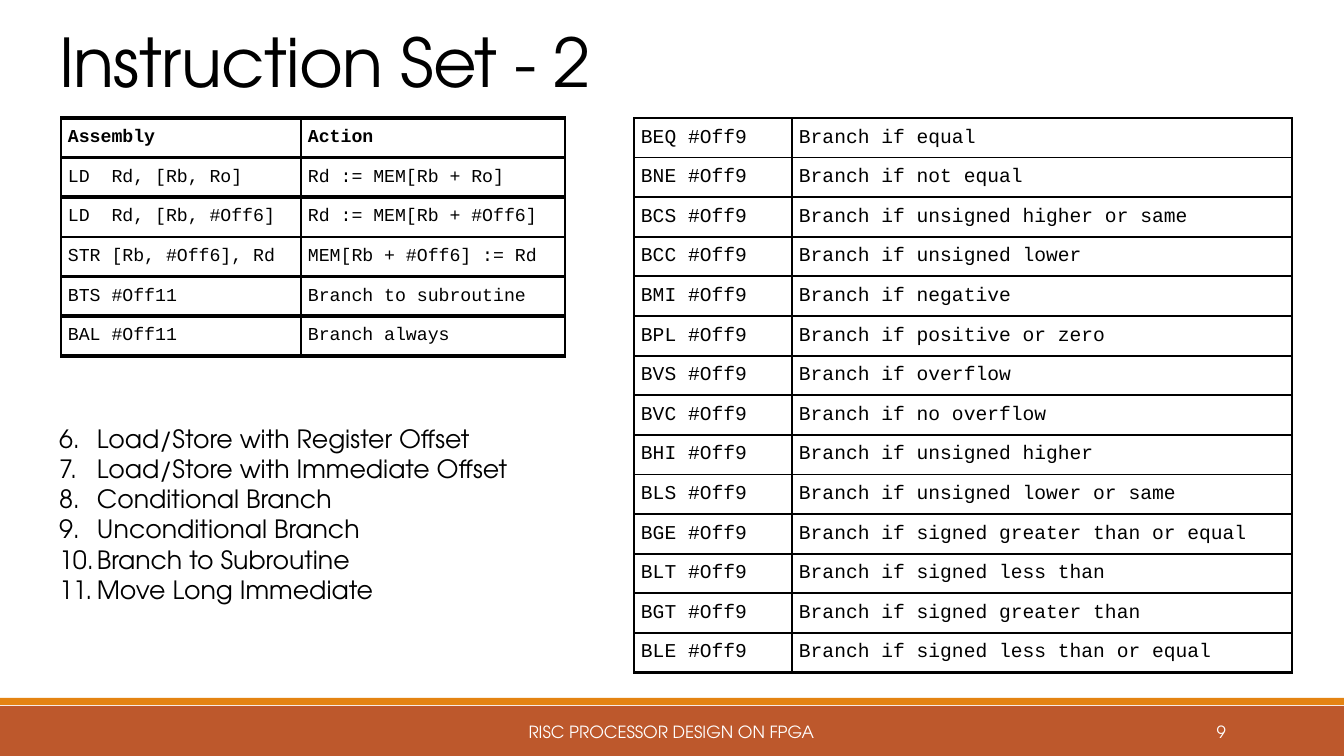
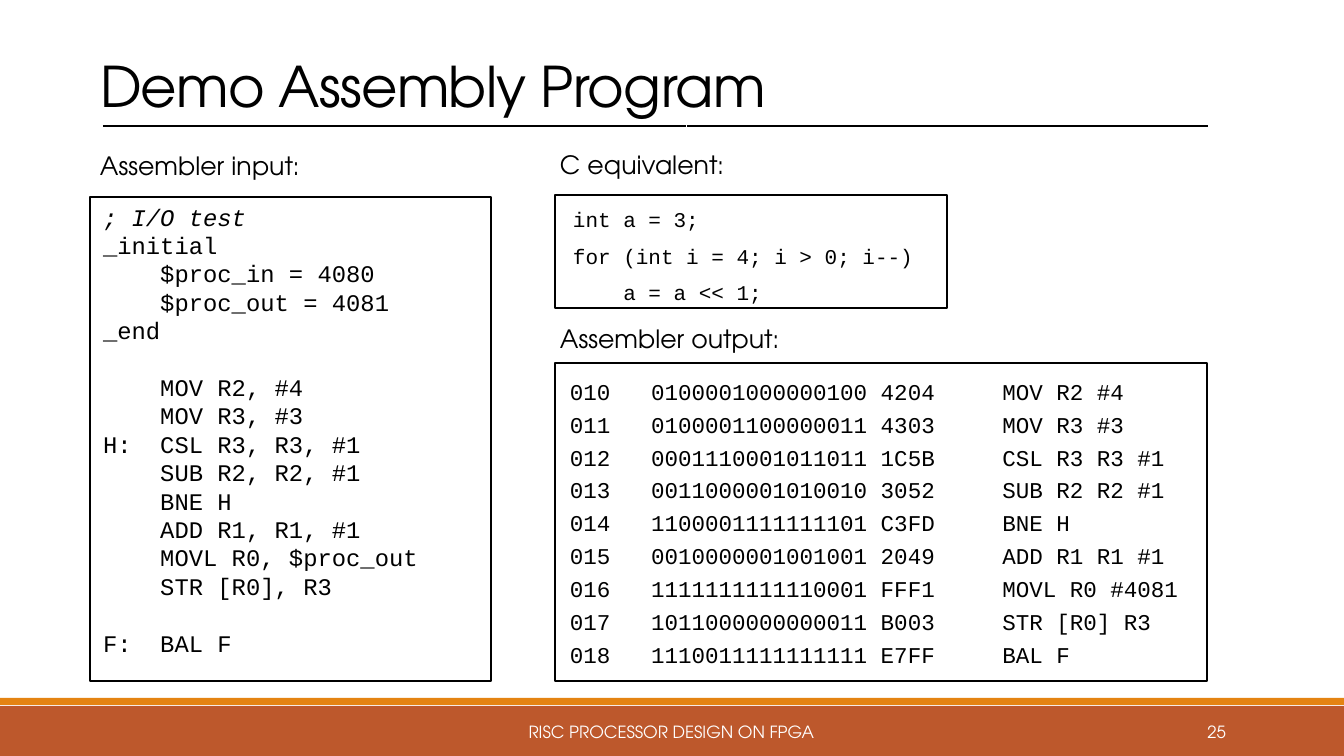
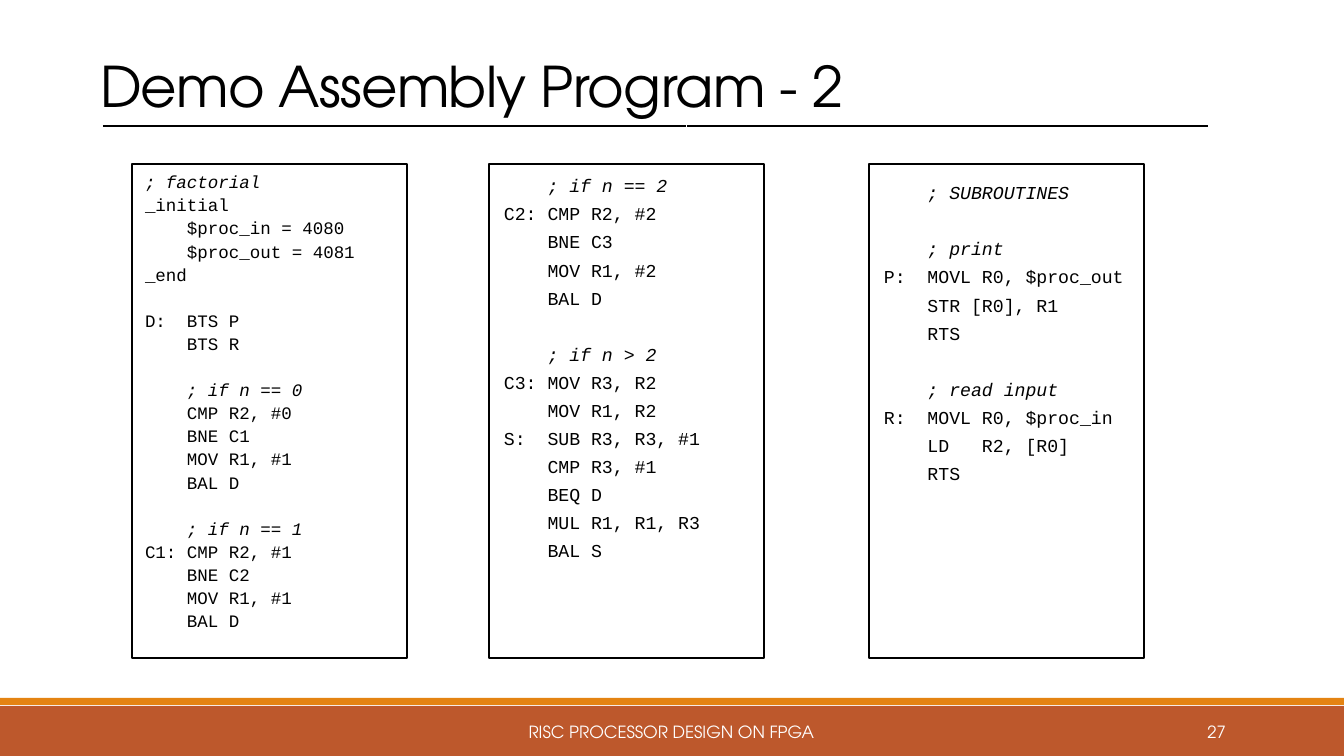
from dataclasses import dataclass

from lxml import etree
from pptx import Presentation
from pptx.dml.color import RGBColor
from pptx.enum.shapes import MSO_CONNECTOR, MSO_SHAPE
from pptx.enum.text import MSO_ANCHOR, MSO_AUTO_SIZE, PP_ALIGN
from pptx.oxml.ns import qn
from pptx.util import Emu, Pt

LEFT, CENTER, RIGHT = PP_ALIGN.LEFT, PP_ALIGN.CENTER, PP_ALIGN.RIGHT
TOP, MIDDLE, BOTTOM = MSO_ANCHOR.TOP, MSO_ANCHOR.MIDDLE, MSO_ANCHOR.BOTTOM
RECTANGLE, STRAIGHT = MSO_SHAPE.RECTANGLE, MSO_CONNECTOR.STRAIGHT

SLIDE_W, SLIDE_H = 1344, 756
EMU_PER_PX = 914400 / 100.8


@dataclass(frozen=True)
class Theme:
    ink: RGBColor = RGBColor(0, 0, 0)
    paper: RGBColor = RGBColor(255, 255, 255)
    rust: RGBColor = RGBColor(0xBD, 0x58, 0x2C)
    orange: RGBColor = RGBColor(0xE4, 0x83, 0x12)
    sans: str = "TeX Gyre Adventor"
    mono: str = "Courier New"
    footer: float = 12
    label: float = 18
    title: float = 40
    big_title: float = 48
    code_line: float = 1.2  # line height of the code font, in ems


THEME = Theme()


def px(*lengths):
    return [Emu(round(length * EMU_PER_PX)) for length in lengths]


def write(box, frame, lines, size, font=THEME.sans, color=THEME.ink, inset=(10, 5),
          leading=1.0, before=0, after=0, align=LEFT, anchor=TOP, first_number=None):
    """Place a box and fill it; an empty line becomes space above the next one."""
    box.left, box.top, box.width, box.height = px(*frame)
    text = box.text_frame
    text.auto_size = MSO_AUTO_SIZE.NONE
    text.word_wrap = True
    text.vertical_anchor = anchor
    text.margin_left, text.margin_top = px(*inset)
    text.margin_right, text.margin_bottom = px(0 if font == THEME.mono else 10, 5)
    gap = 0
    for index, line in enumerate(lines):
        if not line:
            gap = size * THEME.code_line * leading + before + after
            continue
        paragraph = text.add_paragraph() if index else text.paragraphs[0]
        properties = paragraph._p.get_or_add_pPr()
        if first_number:
            properties.set("marL", "342900")
            properties.set("indent", "-342900")
            etree.SubElement(properties, qn("a:buFont"), typeface="+mj-lt")
            etree.SubElement(properties, qn("a:buAutoNum"), type="arabicPeriod",
                             startAt=str(first_number))
        else:
            properties.set("marL", "0")
            properties.set("indent", "0")
            etree.SubElement(properties, qn("a:buNone"))
        paragraph.add_run().text = line
        paragraph.alignment = align
        paragraph.line_spacing = leading
        paragraph.space_before = Pt(round(gap + before, 2) if index else 0)
        paragraph.space_after = Pt(after)
        paragraph.font.name = font
        paragraph.font.size = Pt(size)
        paragraph.font.color.rgb = color
        paragraph.font.italic = line.lstrip().startswith(";")
        gap = 0


prs = Presentation()
prs.slide_width, prs.slide_height = px(SLIDE_W, SLIDE_H)

# Shared parts: bands, footer, number, title and the rule below it
WIDE_TITLE = (90, 26, 1109, 98)
slides = []
for number, heading, frame, size, anchor, rules in [
    ("9", "Instruction Set - 2", (49, 28, 715, 88), THEME.big_title, TOP, []),
    ("25", "Demo Assembly Program", WIDE_TITLE, THEME.title, BOTTOM,
     [(103, 686), (687, 1208)]),
    ("27", "Demo Assembly Program - 2", WIDE_TITLE, THEME.title, BOTTOM,
     [(103, 686), (687, 1208)]),
]:
    slide = prs.slides.add_slide(prs.slide_layouts[1])
    slides.append(slide)
    for top, height, color in [(706, 50, THEME.rust), (698, 7, THEME.orange)]:
        band = slide.shapes.add_shape(RECTANGLE, *px(0, top, SLIDE_W, height))
        band.shadow.inherit = False
        band.fill.solid()
        band.fill.fore_color.rgb = color
        band.line.fill.background()
    for footer_frame, words, align in [
        ((406, 712, 531, 40), "RISC PROCESSOR DESIGN ON FPGA", CENTER),
        ((1092, 712, 144, 40), number, RIGHT),
    ]:
        write(slide.shapes.add_textbox(0, 0, 0, 0), footer_frame, [words], THEME.footer,
              color=THEME.paper, align=align, anchor=MIDDLE)
    title = slide.shapes.title
    write(title, frame, [heading], size, leading=0.85, anchor=anchor)
    title.text_frame.paragraphs[0].runs[0]._r.get_or_add_rPr().set("spc", "-50")
    for start, end in rules:
        rule = slide.shapes.add_connector(STRAIGHT, *px(start, 126, end, 126))
        rule.line.color.rgb = THEME.ink
        rule.line.width = Pt(1)
        etree.SubElement(rule._element.spPr, qn("a:effectLst"))

instruction_slide, demo_slide, factorial_slide = slides

# Instruction set: two tables and a numbered list
memory_rows = [
    ("Assembly", "Action"),
    ("LD  Rd, [Rb, Ro]", "Rd := MEM[Rb + Ro]"),
    ("LD  Rd, [Rb, #Off6]", "Rd := MEM[Rb + #Off6]"),
    ("STR [Rb, #Off6], Rd", "MEM[Rb + #Off6] := Rd"),
    ("BTS #Off11", "Branch to subroutine"),
    ("BAL #Off11", "Branch always"),
]
branch_rows = [(f"{mnemonic} #Off9", f"Branch if {condition}") for mnemonic, condition in [
    ("BEQ", "equal"),
    ("BNE", "not equal"),
    ("BCS", "unsigned higher or same"),
    ("BCC", "unsigned lower"),
    ("BMI", "negative"),
    ("BPL", "positive or zero"),
    ("BVS", "overflow"),
    ("BVC", "no overflow"),
    ("BHI", "unsigned higher"),
    ("BLS", "unsigned lower or same"),
    ("BGE", "signed greater than or equal"),
    ("BLT", "signed less than"),
    ("BGT", "signed greater than"),
    ("BLE", "signed less than or equal"),
]]
THIN, THICK = 1.5, 3
for rows, left, height, widths, size, has_header, rules in [
    (memory_rows, 61, 238, (240, 264), 13, True, [THICK] * 3 + [THIN] + [THICK] * 3),
    (branch_rows, 634, 555, (158, 500), 14, False, [THIN] * 14 + [THICK]),
]:
    table = instruction_slide.shapes.add_table(
        len(rows), 2, *px(left, 118, sum(widths), height)).table
    table.first_row = table.horz_banding = False
    for column, width in zip(table.columns, px(*widths)):
        column.width = width
    for r, row in enumerate(rows):
        for c, entry in enumerate(row):
            cell = table.cell(r, c)
            cell.margin_left, cell.margin_right, cell.margin_top, cell.margin_bottom = px(
                7, 7, 0, 0)
            cell.vertical_anchor = MIDDLE
            borders = {"lnL": THIN, "lnR": THIN, "lnT": rules[r], "lnB": rules[r + 1]}
            for side, weight in borders.items():
                border = etree.SubElement(cell._tc.get_or_add_tcPr(), qn(f"a:{side}"),
                                          w=str(Pt(weight)))
                ink = etree.SubElement(border, qn("a:solidFill"))
                etree.SubElement(ink, qn("a:srgbClr"), val=str(THEME.ink))
            cell.fill.background()
            cell.text = entry
            font = cell.text_frame.paragraphs[0].font
            font.name = THEME.mono
            font.size = Pt(size)
            font.bold = has_header and r == 0
            font.color.rgb = THEME.ink

write(instruction_slide.placeholders[1], (49, 418, 476, 194), [
    "Load/Store with Register Offset",
    "Load/Store with Immediate Offset",
    "Conditional Branch",
    "Unconditional Branch",
    "Branch to Subroutine",
    "Move Long Immediate",
], THEME.label, first_number=6)

# Demo programs: labels and framed code
for left, top, label in [
    (90, 145, "Assembler input:"),
    (550, 144, "C equivalent:"),
    (550, 318, "Assembler output:"),
]:
    write(demo_slide.shapes.add_textbox(0, 0, 0, 0), (left, top, 250, 40), [label],
          THEME.label)

io_test = """\
; I/O test
_initial
    $proc_in = 4080
    $proc_out = 4081
_end

    MOV R2, #4
    MOV R3, #3
H:  CSL R3, R3, #1
    SUB R2, R2, #1
    BNE H
    ADD R1, R1, #1
    MOVL R0, $proc_out
    STR [R0], R3

F:  BAL F"""

c_equivalent = """\
int a = 3;
for (int i = 4; i > 0; i--)
    a = a << 1;"""

machine_code = """\
010   0100001000000100 4204     MOV R2 #4
011   0100001100000011 4303     MOV R3 #3
012   0001110001011011 1C5B     CSL R3 R3 #1
013   0011000001010010 3052     SUB R2 R2 #1
014   1100001111111101 C3FD     BNE H
015   0010000001001001 2049     ADD R1 R1 #1
016   1111111111110001 FFF1     MOVL R0 #4081
017   1011000000000011 B003     STR [R0] R3
018   1110011111111111 E7FF     BAL F"""

factorial_start = """\
; factorial
_initial
    $proc_in = 4080
    $proc_out = 4081
_end

D:  BTS P
    BTS R

    ; if n == 0
    CMP R2, #0
    BNE C1
    MOV R1, #1
    BAL D

    ; if n == 1
C1: CMP R2, #1
    BNE C2
    MOV R1, #1
    BAL D"""

factorial_loop = """\
    ; if n == 2
C2: CMP R2, #2
    BNE C3
    MOV R1, #2
    BAL D

    ; if n > 2
C3: MOV R3, R2
    MOV R1, R2
S:  SUB R3, R3, #1
    CMP R3, #1
    BEQ D
    MUL R1, R1, R3
    BAL S"""

subroutines = """\
    ; SUBROUTINES

    ; print
P:  MOVL R0, $proc_out
    STR [R0], R1
    RTS

    ; read input
R:  MOVL R0, $proc_in
    LD   R2, [R0]
    RTS"""

for slide, is_body, code, frame, inset, size, leading, before, after in [
    (demo_slide, True, io_test, (90, 197, 401, 484), (13, 13), 17, 0.7, 0, 6),
    (demo_slide, False, c_equivalent, (555, 195, 392, 113), (18, 12), 15, 1.0, 6, 2),
    (demo_slide, False, machine_code, (555, 363, 652, 318), (15, 20), 16.1, 0.8, 6, 2),
    (factorial_slide, True, factorial_start, (132, 164, 275, 494), (13, 13), 12.5, 0.7, 0, 6),
    (factorial_slide, False, factorial_loop, (489, 164, 275, 494), (15, 13), 13, 0.9, 0, 6),
    (factorial_slide, False, subroutines, (869, 164, 275, 494), (15, 20), 13, 0.9, 0, 6),
]:
    panel = slide.placeholders[1] if is_body else slide.shapes.add_textbox(0, 0, 0, 0)
    panel.fill.solid()
    panel.fill.fore_color.rgb = THEME.paper
    panel.line.color.rgb = THEME.ink
    panel.line.width = Pt(1.25)
    write(panel, frame, code.splitlines(), size, font=THEME.mono, inset=inset,
          leading=leading, before=before, after=after)

prs.save("out.pptx")
